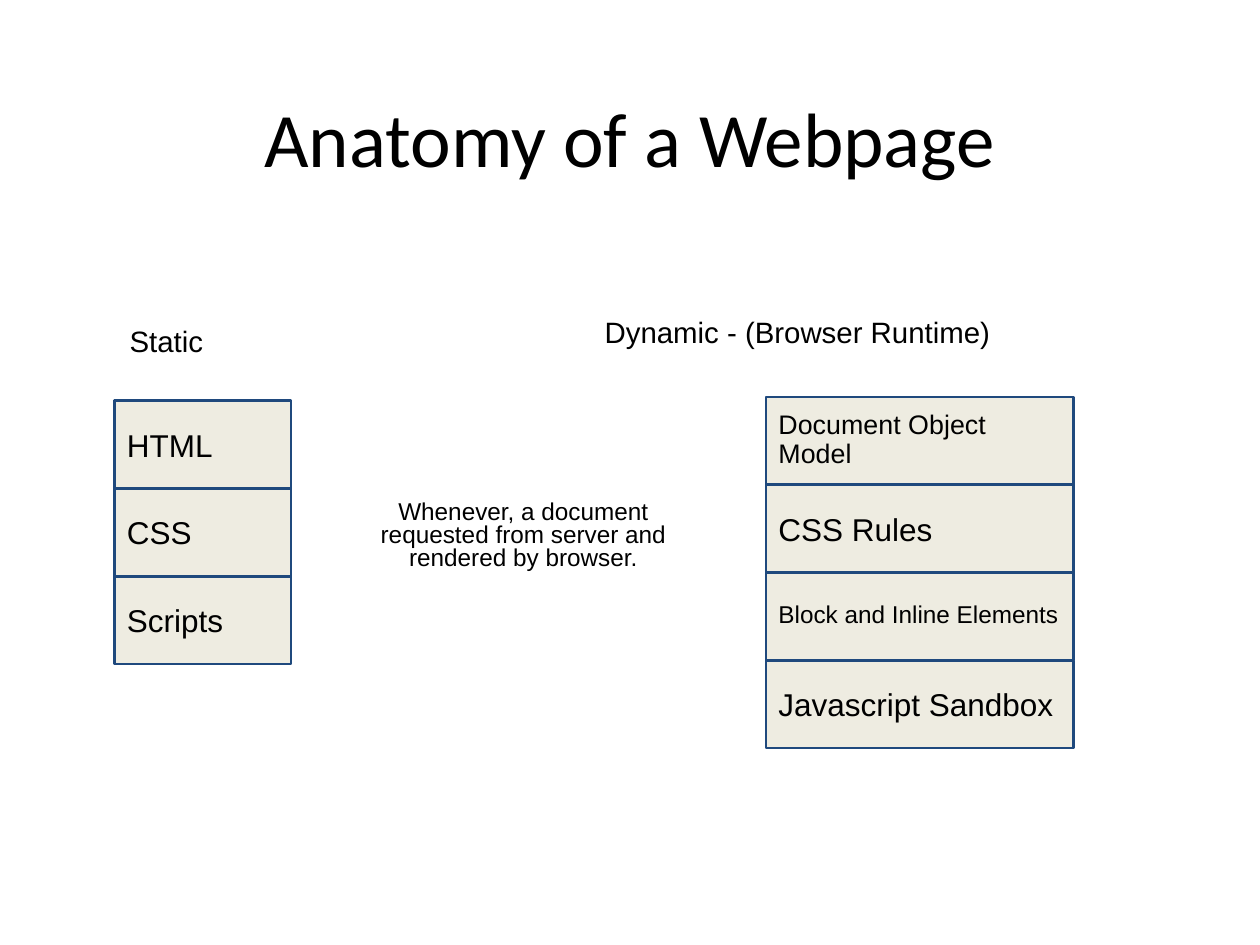
"""Build the "Anatomy of a Webpage" slide, with places in percent of the slide."""
import pptx
import pptx.dml.color
import pptx.enum.shapes
import pptx.enum.text
import pptx.util

Align = pptx.enum.text.PP_ALIGN
Anchor = pptx.enum.text.MSO_ANCHOR

deck = pptx.Presentation()
deck.slide_width = pptx.util.Inches(10)
deck.slide_height = pptx.util.Inches(7.5)
page = deck.slides.add_slide(deck.slide_layouts[6])


def color(hex_code):
    return pptx.dml.color.RGBColor.from_string(hex_code)


def place(words, share, size, font="Arial", spacing=1.0, align=Align.LEFT,
          anchor=Anchor.TOP, boxed=False):
    left, top, width, height = share
    spot = [int(deck.slide_width * left / 100), int(deck.slide_height * top / 100),
            int(deck.slide_width * width / 100), int(deck.slide_height * height / 100)]
    if boxed:
        part = page.shapes.add_shape(pptx.enum.shapes.MSO_SHAPE.RECTANGLE, *spot)
        part.shadow.inherit = False
        part.fill.solid()
        part.fill.fore_color.rgb = color("EEECE1")
        part.line.color.rgb = color("1F497D")
        part.line.width = pptx.util.Pt(1.5)
    else:
        part = page.shapes.add_textbox(*spot)
    frame = part.text_frame
    frame.text = words
    margin = pptx.util.Inches(0.1)
    frame_format = {"word_wrap": True, "vertical_anchor": anchor,
                    "margin_left": margin, "margin_right": margin,
                    "margin_top": margin, "margin_bottom": margin}
    line = frame.paragraphs[0]
    line_format = {"alignment": align, "line_spacing": spacing}
    font_format = {"name": font, "size": pptx.util.Pt(size)}
    for target, values in ((frame, frame_format), (line, line_format),
                           (line.runs[0].font, font_format)):
        for key, value in values.items():
            setattr(target, key, value)
    line.runs[0].font.color.rgb = color("000000")


place("Anatomy of a Webpage", (5, 4, 90, 16.67), 44, font="Calibri",
      align=Align.CENTER, anchor=Anchor.BOTTOM)

row_height = 9.29
static_layers = [("HTML", 18, 1), ("CSS", 18, 1), ("Scripts", 18, 1)]
runtime_layers = [("Document Object Model", 15.3, 0.9), ("CSS Rules", 18, 1),
                  ("Block and Inline Elements", 13.9, 0.8), ("Javascript Sandbox", 18, 1)]
for left, top, width, layers in ((9.1, 42.4, 14, static_layers),
                                 (60.8, 42, 24.4, runtime_layers)):
    for row, (layer, size, spacing) in enumerate(layers):
        place(layer, (left, top + row * row_height, width, row_height), size,
              spacing=float(spacing), anchor=Anchor.MIDDLE, boxed=True)

place("Static", (9.3, 33.6, 14, 6.67), 16.8, spacing=0.8)
place("Dynamic - (Browser Runtime)", (47, 32.67, 48.9, 6.67), 16.8, spacing=0.8)
place("Whenever, a document requested from server and rendered by browser.",
      (27.1, 51.73, 28.9, 12.53), 13.9, spacing=0.8, align=Align.CENTER)

deck.save("out.pptx")
